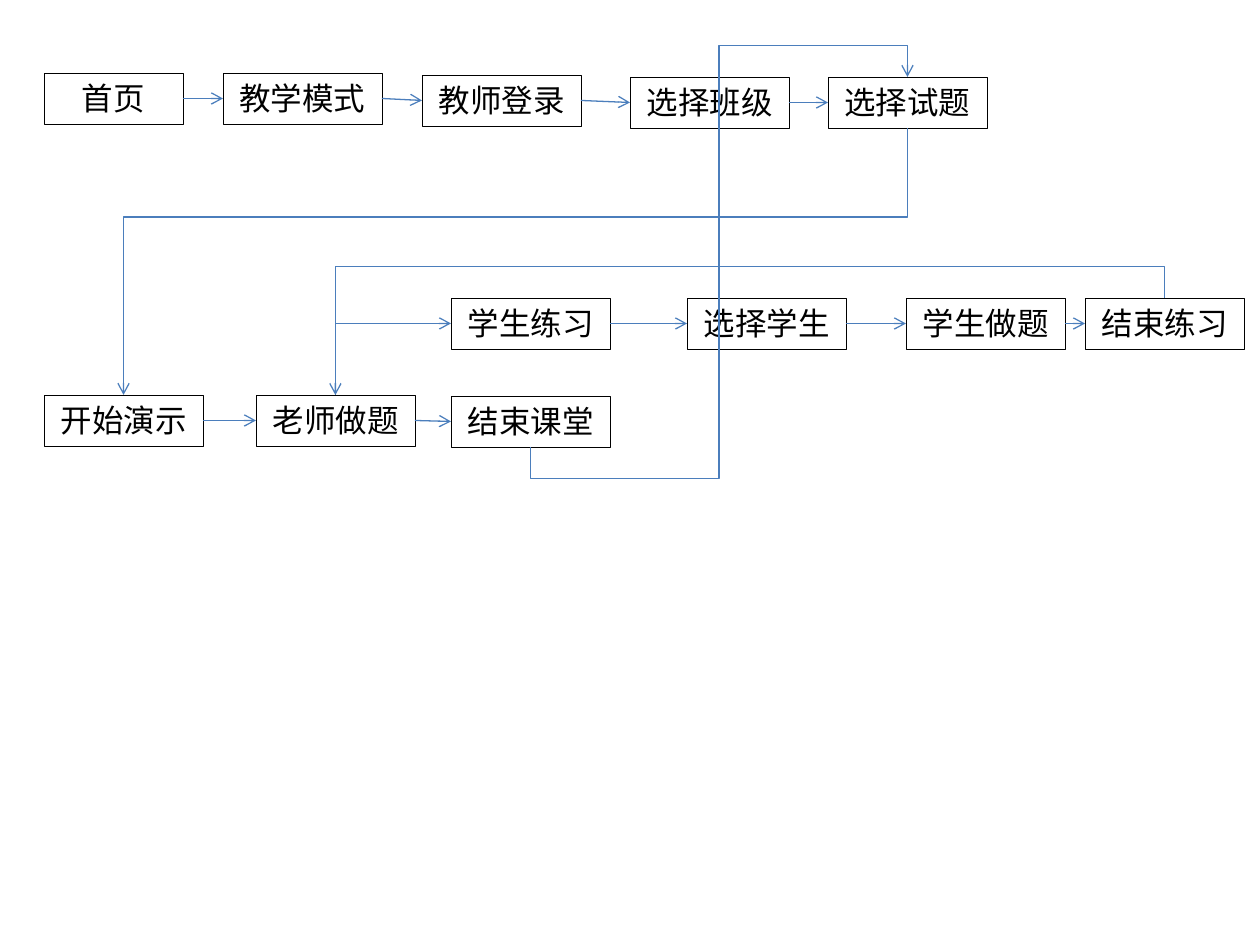
from lxml import etree
from pptx import Presentation
from pptx.dml.color import RGBColor
from pptx.enum.shapes import MSO_CONNECTOR as Connector
from pptx.enum.text import MSO_ANCHOR as Anchor, MSO_AUTO_SIZE as AutoSize, PP_ALIGN as Align
from pptx.oxml.ns import qn
from pptx.util import Pt

EMU_PER_PX = 914400 / 126
BLACK = RGBColor(0x00, 0x00, 0x00)
BLUE = RGBColor(0x4B, 0x7E, 0xBC)
BOX_WIDTH, BOX_HEIGHT = 159, 51
TOP, LEFT, BOTTOM, RIGHT = range(4)  # connection sites of a rectangle


def px(value):
    return round(value * EMU_PER_PX)


def connect(kind, start, start_site, end, end_site):
    """Join two steps with a blue arrow."""
    connector = slide.shapes.add_connector(kind, 0, 0, 0, 0)
    connector.begin_connect(steps[start], start_site)
    connector.end_connect(steps[end], end_site)
    connector.line.color.rgb = BLUE
    connector.line.width = Pt(0.75)
    properties = connector._element.spPr
    line = properties.find(qn("a:ln"))
    etree.SubElement(line, qn("a:tailEnd"), type="arrow")
    etree.SubElement(properties, qn("a:effectLst"))
    return connector


presentation = Presentation()
presentation.slide_width, presentation.slide_height = px(1260), px(945)
slide = presentation.slides.add_slide(presentation.slide_layouts[6])

# Steps: name, left, top, width
boxes = [
    ("首页", 44, 73, 139),
    ("教学模式", 223, 73, BOX_WIDTH),
    ("教师登录", 422, 75, BOX_WIDTH),
    ("选择班级", 630, 77, BOX_WIDTH),
    ("选择试题", 828, 77, BOX_WIDTH),
    ("开始演示", 44, 395, BOX_WIDTH),
    ("老师做题", 256, 395, BOX_WIDTH),
    ("结束课堂", 451, 396, BOX_WIDTH),
    ("学生练习", 451, 298, BOX_WIDTH),
    ("选择学生", 687, 298, BOX_WIDTH),
    ("学生做题", 906, 298, BOX_WIDTH),
    ("结束练习", 1085, 298, BOX_WIDTH),
]
steps = {}
for name, left, top, width in boxes:
    shape = slide.shapes.add_textbox(px(left), px(top), px(width), px(BOX_HEIGHT))
    shape.line.color.rgb = BLACK
    shape.line.width = Pt(0.25)
    frame = shape.text_frame
    frame.word_wrap = True
    frame.auto_size = AutoSize.SHAPE_TO_FIT_TEXT
    frame.vertical_anchor = Anchor.TOP
    paragraph = frame.paragraphs[0]
    paragraph.alignment = Align.CENTER
    run = paragraph.add_run()
    run.text = name
    run.font.name = "Calibri"
    run.font.size = Pt(18)
    run.font.color.rgb = BLACK
    steps[name] = shape

# Straight arrows along each row
rows = [
    ("首页", "教学模式", "教师登录", "选择班级", "选择试题"),
    ("开始演示", "老师做题", "结束课堂"),
    ("学生练习", "选择学生", "学生做题", "结束练习"),
]
for row in rows:
    for start, end in zip(row, row[1:]):
        connect(Connector.STRAIGHT, start, RIGHT, end, LEFT)

# Bent arrows: ends, quarter turn in degrees, flipped, preset, bends in 1/100000
bends = [
    ("选择试题", BOTTOM, "开始演示", TOP, 90, False, "bentConnector3", [33400]),
    ("老师做题", TOP, "学生练习", LEFT, 90, True, "bentConnector2", []),
    ("结束练习", TOP, "老师做题", TOP, 270, True, "bentConnector3", [-32500]),
    ("结束课堂", BOTTOM, "选择试题", TOP, 90, True, "bentConnector5",
     [-8500, 50000, 108500]),
]
for start, start_site, end, end_site, turn, flipped, preset, adjustments in bends:
    connector = connect(Connector.ELBOW, start, start_site, end, end_site)
    # A quarter turn swaps width and height about the same centre
    across, down = connector.width, connector.height
    connector.left += (across - down) // 2
    connector.top += (down - across) // 2
    connector.width, connector.height = down, across
    transform = connector._element.spPr.find(qn("a:xfrm"))
    transform.set("rot", str(turn * 60000))
    for flip in ("flipH", "flipV"):
        transform.set(flip, str(int(flipped)))
    geometry = connector._element.spPr.find(qn("a:prstGeom"))
    geometry.set("prst", preset)
    guides = geometry.find(qn("a:avLst"))
    for number, value in enumerate(adjustments, 1):
        etree.SubElement(guides, qn("a:gd"), name=f"adj{number}", fmla=f"val {value}")

presentation.save("out.pptx")
